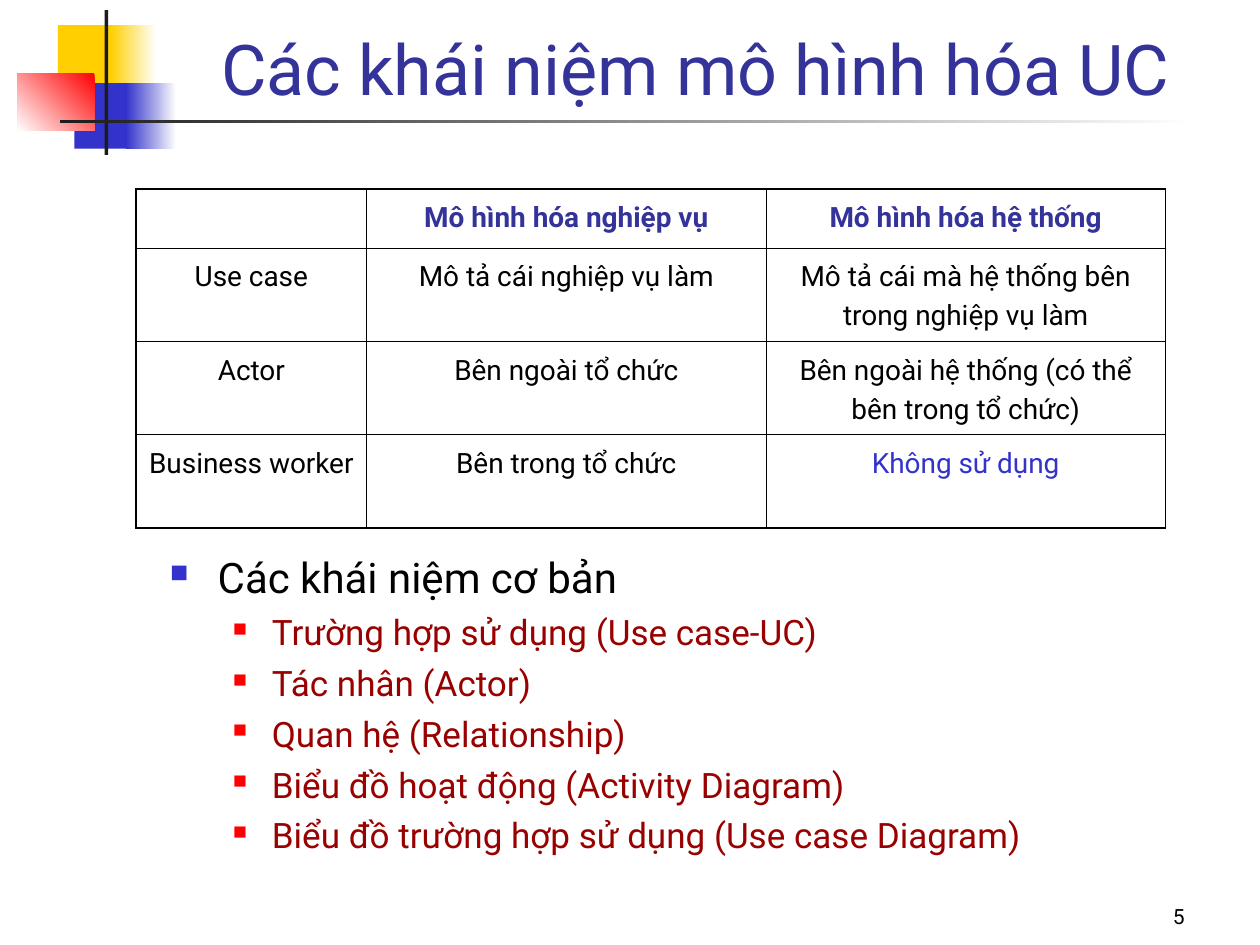
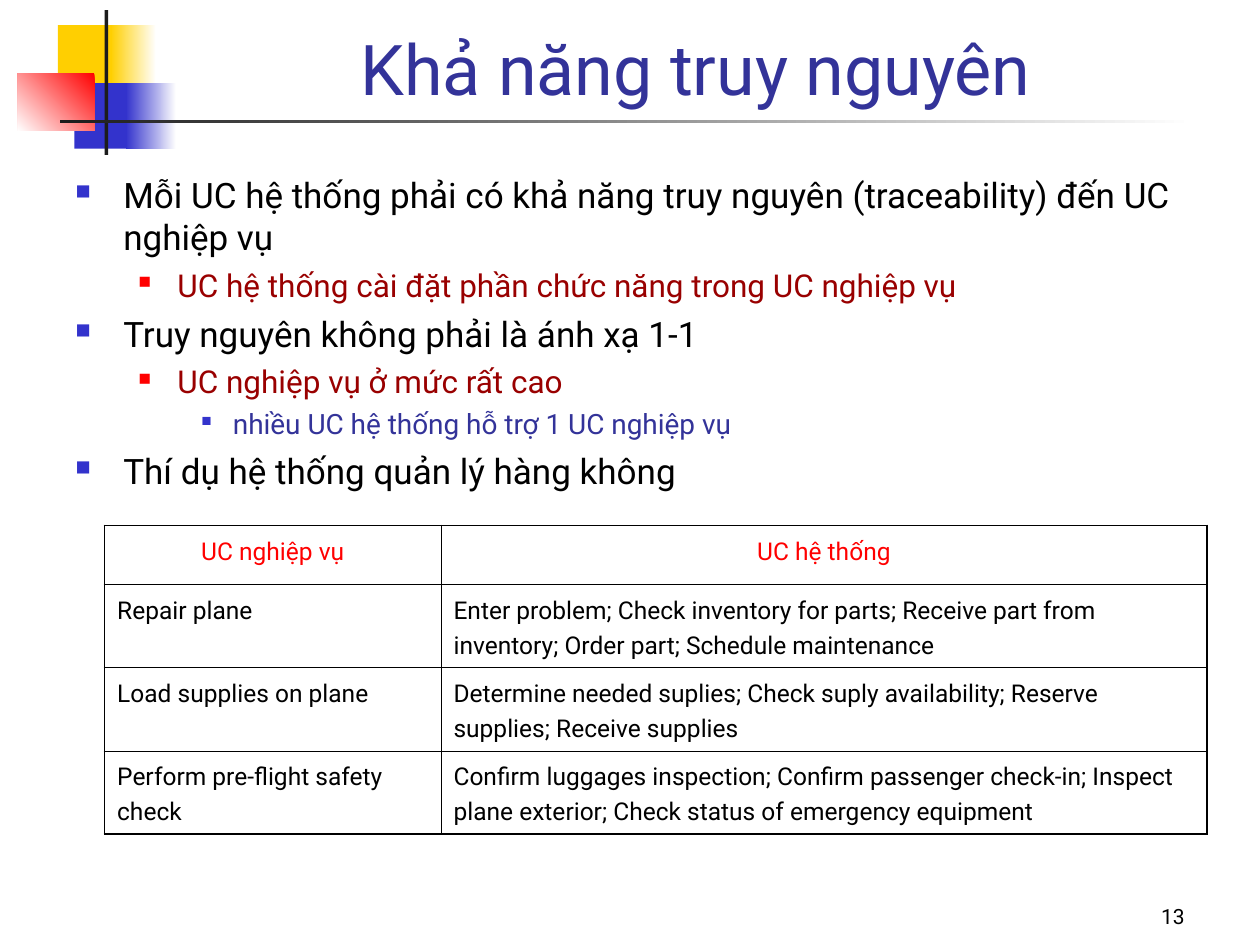
from lxml import etree
from pptx import Presentation
from pptx.dml.color import RGBColor
from pptx.enum.shapes import MSO_SHAPE
from pptx.enum.text import MSO_ANCHOR, PP_ALIGN
from pptx.oxml.ns import qn
from pptx.util import Inches, Pt

RECTANGLE = MSO_SHAPE.RECTANGLE
TOP, BOTTOM = MSO_ANCHOR.TOP, MSO_ANCHOR.BOTTOM
LEFT, CENTER, RIGHT = PP_ALIGN.LEFT, PP_ALIGN.CENTER, PP_ALIGN.RIGHT

BLACK = RGBColor(0x00, 0x00, 0x00)
WHITE = RGBColor(0xFF, 0xFF, 0xFF)
CHARCOAL = RGBColor(0x1C, 0x1C, 0x1C)
YELLOW = RGBColor(0xFF, 0xCF, 0x01)
BLUE = RGBColor(0x33, 0x33, 0xCC)
NAVY = RGBColor(0x33, 0x33, 0x99)
RED = RGBColor(0xFF, 0x00, 0x00)
MAROON = RGBColor(0x99, 0x00, 0x00)

FONT = "Roboto"
SLIDE_SIZE = (10, 7.5)
TITLE_AREA = (1.26, 0.08, 8.52, 0.84)
NUMBER_AREA = (7.42, 6.92, 2.08, 0.5)
OUTER_LINE, INNER_LINE = 1.08, 0.45

# area, colours (one is solid, two run along a gradient), gradient angle
DECORATIONS = [
    ((0.46, 0.20, 0.48, 0.52), [YELLOW], 0),
    ((0.88, 0.20, 0.36, 0.52), [WHITE, YELLOW], 180),
    ((0.59, 0.66, 0.46, 0.52), [BLUE], 0),
    ((1.00, 0.66, 0.40, 0.52), [WHITE, BLUE], 180),
    ((0.14, 0.58, 0.61, 0.46), [RED, WHITE], 225),
    ((0.83, 0.08, 0.03, 1.15), [CHARCOAL], 0),
    ((0.48, 0.95, 9.00, 0.03), [WHITE, CHARCOAL], 180),
]

# One entry per outline level
LEVELS = [
    {"indent": 0.38, "hang": 0.38, "bullet": BLUE, "percent": 60, "color": BLACK},
    {"indent": 0.81, "hang": 0.31, "bullet": RED, "percent": 55, "color": MAROON},
    {"indent": 1.25, "hang": 0.25, "bullet": BLUE, "percent": 50, "color": NAVY},
]

PAGES = [
    {
        "title": "Các khái niệm mô hình hóa UC",
        "number": 5,
        "outline": {
            "area": (1.25, 4.33, 8.67, 2.83),
            "sizes": [24, 20],
            "items": [
                (0, "Các khái niệm cơ bản"),
                (1, "Trường hợp sử dụng (Use case-UC)"),
                (1, "Tác nhân (Actor)"),
                (1, "Quan hệ (Relationship)"),
                (1, "Biểu đồ hoạt động (Activity Diagram)"),
                (1, "Biểu đồ trường hợp sử dụng (Use case Diagram)"),
            ],
        },
        "table": {
            "origin": (1.08, 1.5),
            "columns": [1.83, 3.17, 3.17],
            "heights": [0.47, 0.74, 0.74, 0.74],
            "header": {"size": Pt(16), "bold": True},
            "header_color": NAVY,
            "body": {"size": Pt(16), "bold": False},
            "align": CENTER,
            "accents": {(3, 2): BLUE},
            "rows": [
                ["", "Mô hình hóa nghiệp vụ", "Mô hình hóa hệ thống"],
                ["Use case", "Mô tả cái nghiệp vụ làm",
                 "Mô tả cái mà hệ thống bên trong nghiệp vụ làm"],
                ["Actor", "Bên ngoài tổ chức",
                 "Bên ngoài hệ thống (có thể bên trong tổ chức)"],
                ["Business worker", "Bên trong tổ chức", "Không sử dụng"],
            ],
        },
    },
    {
        "title": "Khả năng truy nguyên",
        "number": 13,
        "outline": {
            "area": (0.5, 1.33, 9.29, 5.5),
            "sizes": [20, 18, 16],
            "items": [
                (0, "Mỗi UC hệ thống phải có khả năng truy nguyên (traceability) "
                    "đến UC nghiệp vụ"),
                (1, "UC hệ thống cài đặt phần chức năng trong UC nghiệp vụ"),
                (0, "Truy nguyên không phải là ánh xạ 1-1"),
                (1, "UC nghiệp vụ ở mức rất cao"),
                (2, "nhiều UC hệ thống hỗ trợ 1 UC nghiệp vụ"),
                (0, "Thí dụ hệ thống quản lý hàng không"),
            ],
        },
        "table": {
            "origin": (0.83, 4.17),
            "columns": [2.67, 6.08],
            "heights": [0.47, 0.66, 0.66, 0.66],
            "header": {"size": Pt(14), "bold": False},
            "header_color": RED,
            "body": {"size": Pt(14), "bold": False},
            "align": LEFT,
            "accents": {},
            "rows": [
                ["UC nghiệp vụ", "UC hệ thống"],
                ["Repair plane",
                 "Enter problem; Check inventory for parts; Receive part from "
                 "inventory; Order part; Schedule maintenance"],
                ["Load supplies on plane",
                 "Determine needed suplies; Check suply availability; Reserve "
                 "supplies; Receive supplies"],
                ["Perform pre-flight safety check",
                 "Confirm luggages inspection; Confirm passenger check-in; Inspect "
                 "plane exterior; Check status of emergency equipment"],
            ],
        },
    },
]


def inches(lengths):
    return [Inches(length) for length in lengths]


def add_span(para, text, color, **formats):
    span = para.add_run()
    span.text = text
    span.font.color.rgb = color
    for name, value in {"name": FONT, **formats}.items():
        setattr(span.font, name, value)


def add_box(page, area, anchor):
    frame = page.shapes.add_textbox(*inches(area)).text_frame
    frame.word_wrap = True
    frame.vertical_anchor = anchor
    return frame


def add_line(page, area, anchor, align, text, color, size):
    """Add a text box that holds a single paragraph."""
    para = add_box(page, area, anchor).paragraphs[0]
    para.alignment = align
    add_span(para, text, color, size=Pt(size))


def add_decorations(page):
    for area, colors, angle in DECORATIONS:
        block = page.shapes.add_shape(RECTANGLE, *inches(area))
        block.shadow.inherit = False
        block.line.fill.background()
        if len(colors) == 1:
            block.fill.solid()
            block.fill.fore_color.rgb = colors[0]
            continue
        block.fill.gradient()
        block.fill.gradient_angle = angle
        for stop, color in zip(block.fill.gradient_stops, colors):
            stop.color.rgb = color


def set_bullet(para, level):
    props = para._p.get_or_add_pPr()
    props.set("marL", str(Inches(level["indent"])))
    props.set("indent", str(-Inches(level["hang"])))
    tint = etree.SubElement(props, qn("a:buClr"))
    etree.SubElement(tint, qn("a:srgbClr"), val=str(level["bullet"]))
    etree.SubElement(props, qn("a:buSzPct"), val=str(level["percent"] * 1000))
    etree.SubElement(props, qn("a:buChar"), char="■")


def add_outline(page, area, sizes, items):
    frame = add_box(page, area, TOP)
    for index, (depth, text) in enumerate(items):
        para = frame.add_paragraph() if index else frame.paragraphs[0]
        para.level = depth
        set_bullet(para, LEVELS[depth])
        if index:
            para.space_before = Pt(sizes[depth] / 4)
        add_span(para, text, LEVELS[depth]["color"], size=Pt(sizes[depth]))


def set_borders(cell, outer_sides):
    """Draw thick lines on the sides that lie on the table's edge."""
    props = cell._tc.get_or_add_tcPr()
    for side in "LRTB":
        width = OUTER_LINE if side in outer_sides else INNER_LINE
        line = etree.SubElement(props, qn(f"a:ln{side}"), w=str(Pt(width)))
        fill = etree.SubElement(line, qn("a:solidFill"))
        etree.SubElement(fill, qn("a:srgbClr"), val=str(BLACK))


def add_grid(page, origin, columns, heights, header, header_color, body, align,
             accents, rows):
    area = (*origin, sum(columns), sum(heights))
    grid = page.shapes.add_table(len(rows), len(columns), *inches(area)).table
    grid.first_row = grid.horz_banding = False
    for column, width in zip(grid.columns, columns):
        column.width = Inches(width)
    for row, height in zip(grid.rows, heights):
        row.height = Inches(height)
    for r, texts in enumerate(rows):
        for c, text in enumerate(texts):
            cell = grid.cell(r, c)
            edges = {"L": c == 0, "R": c == len(columns) - 1,
                     "T": r == 0, "B": r == len(rows) - 1}
            set_borders(cell, [side for side, outer in edges.items() if outer])
            cell.fill.background()
            para = cell.text_frame.paragraphs[0]
            para.alignment = align if r else CENTER
            para.line_spacing = 1.2
            if text:
                color = accents.get((r, c), BLACK if r else header_color)
                add_span(para, text, color, **(body if r else header))


def main():
    deck = Presentation()
    deck.slide_width, deck.slide_height = inches(SLIDE_SIZE)
    blank = deck.slide_layouts[6]
    for content in PAGES:
        page = deck.slides.add_slide(blank)
        add_decorations(page)
        add_line(page, TITLE_AREA, BOTTOM, CENTER, content["title"], NAVY, 40)
        add_outline(page, **content["outline"])
        add_grid(page, **content["table"])
        add_line(page, NUMBER_AREA, BOTTOM, RIGHT, str(content["number"]), BLACK, 12)
    deck.save("out.pptx")


if __name__ == "__main__":
    main()
